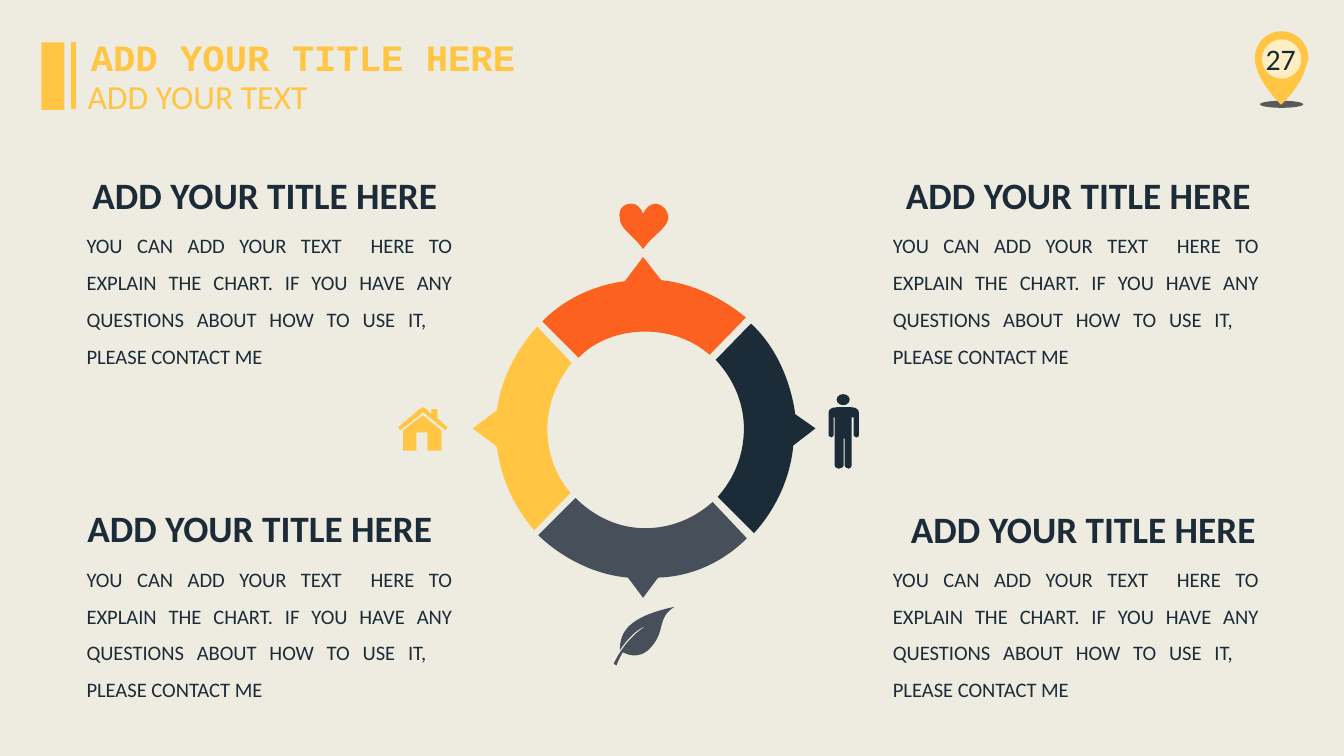
from pptx import Presentation
from pptx.dml.color import RGBColor
from pptx.enum.shapes import MSO_CONNECTOR as LINE, MSO_SHAPE as SHAPE
from pptx.enum.text import MSO_ANCHOR as ANCHOR, MSO_AUTO_SIZE as AUTO, PP_ALIGN as ALIGN
from pptx.oxml.ns import qn
from pptx.util import Inches, Pt
from lxml.etree import SubElement as sub

GOLD, NAVY, SLATE, FLAME = "FFC543", "1C2B38", "464F5A", "FC611F"
CREAM, SHADE, WHITE, INK = "EEECE1", "595959", "FFFFFF", "152C34"
SANS, MONO = "Calibri", "Courier New"

HEAD = "ADD YOUR TITLE HERE"
BODY = ("YOU CAN ADD YOUR TEXT  HERE TO EXPLAIN THE CHART. IF YOU HAVE ANY "
        "QUESTIONS ABOUT HOW TO USE IT,   PLEASE CONTACT ME")

# Left and top of each heading, then of the text below it
BLOCKS = [
    ((0.8, 1.66), (0.76, 2.14)),
    ((8.87, 1.66), (8.76, 2.14)),
    ((0.75, 4.96), (0.76, 5.45)),
    ((8.92, 4.97), (8.76, 5.45)),
]

# An outline holds points (x, y) and curves (x1, y1, x2, y2, x, y)
PIN = [(12.98, 0.59), (12.98, 0.57), (12.98, 0.43, 12.86, 0.31, 12.71, 0.31),
       (12.57, 0.31, 12.45, 0.43, 12.45, 0.57), (12.45, 0.6),
       (12.47, 0.81, 12.71, 1.04, 12.71, 1.04),
       (12.88, 0.88, 12.94, 0.73, 12.96, 0.65),
       (12.97, 0.63, 12.97, 0.61, 12.98, 0.59)]
RING = {
    GOLD: [(4.93, 4.07), (4.69, 4.25), (4.93, 4.43),
           (4.97, 4.75, 5.1, 5.03, 5.3, 5.26), (5.66, 4.89),
           (5.51, 4.71, 5.43, 4.5, 5.43, 4.25),
           (5.43, 4.01, 5.53, 3.78, 5.67, 3.6), (5.33, 3.24),
           (5.12, 3.47, 4.97, 3.76, 4.93, 4.07)],
    SLATE: [(5.71, 4.94), (5.34, 5.31), (5.57, 5.53, 5.89, 5.7, 6.23, 5.73),
            (6.38, 5.93), (6.53, 5.73), (6.87, 5.72, 7.18, 5.57, 7.41, 5.34),
            (7.07, 4.98), (6.89, 5.14, 6.66, 5.24, 6.4, 5.24),
            (6.13, 5.24, 5.89, 5.12, 5.71, 4.94)],
    FLAME: [(6.38, 2.55), (6.2, 2.79), (5.89, 2.83, 5.59, 2.97, 5.38, 3.19),
            (5.74, 3.55), (5.9, 3.38, 6.15, 3.29, 6.4, 3.29),
            (6.64, 3.29, 6.87, 3.37, 7.04, 3.52), (7.4, 3.15),
            (7.17, 2.96, 6.87, 2.81, 6.56, 2.78)],
    NAVY: [(7.89, 4.11), (7.84, 3.76, 7.69, 3.43, 7.45, 3.21), (7.1, 3.57),
           (7.27, 3.75, 7.38, 3.99, 7.38, 4.25),
           (7.38, 4.52, 7.28, 4.75, 7.12, 4.93), (7.48, 5.29),
           (7.69, 5.06, 7.84, 4.75, 7.87, 4.42), (8.09, 4.25)],
}
WALLS = [(4.2, 4.12), (4.1, 4.19), (4, 4.27), (4, 4.47), (4.13, 4.47),
         (4.13, 4.29), (4.24, 4.29), (4.24, 4.47), (4.38, 4.47),
         (4.38, 4.27), (4.28, 4.19)]
ROOF = [(4.34, 4.15), (4.34, 4.06), (4.28, 4.06), (4.28, 4.11), (4.23, 4.06),
        (4.2, 4.04), (4.16, 4.06), (3.95, 4.24), (3.97, 4.27), (4.2, 4.09),
        (4.42, 4.27), (4.44, 4.24)]
MAN = [(8.45, 4.04), (8.3, 4.04), (8.24, 4.04, 8.22, 4.07, 8.22, 4.09),
       (8.22, 4.32), (8.22, 4.32, 8.24, 4.34, 8.25, 4.34),
       (8.25, 4.34, 8.27, 4.32, 8.27, 4.32),
       (8.27, 4.14), (8.28, 4.14), (8.28, 4.62),
       (8.28, 4.63, 8.3, 4.65, 8.32, 4.65),
       (8.35, 4.65, 8.37, 4.63, 8.37, 4.62), (8.37, 4.35), (8.38, 4.35),
       (8.38, 4.62), (8.38, 4.63, 8.4, 4.65, 8.42, 4.65),
       (8.43, 4.65, 8.45, 4.63, 8.45, 4.62), (8.45, 4.14), (8.47, 4.14),
       (8.47, 4.32), (8.47, 4.32, 8.48, 4.34, 8.5, 4.34),
       (8.52, 4.34, 8.52, 4.32, 8.52, 4.32),
       (8.52, 4.09), (8.52, 4.07, 8.5, 4.04, 8.45, 4.04)]
LEAF = [(6.09, 6.58), (6.09, 6.58, 6.09, 6.6, 6.12, 6.6),
        (6.12, 6.57, 6.18, 6.47, 6.18, 6.47),
        (6.18, 6.47, 6.33, 6.57, 6.46, 6.42),
        (6.61, 6.25, 6.51, 6.14, 6.69, 6.02),
        (6.23, 6.12, 6.15, 6.27, 6.15, 6.45),
        (6.2, 6.37, 6.31, 6.24, 6.41, 6.21),
        (6.23, 6.32, 6.13, 6.5, 6.09, 6.58)]
HEART = [(6.38, 2.12), (6.36, 2.06, 6.31, 2.02, 6.27, 2.02),
         (6.17, 2.02, 6.13, 2.09, 6.15, 2.17),
         (6.15, 2.27, 6.28, 2.33, 6.38, 2.47),
         (6.48, 2.33, 6.61, 2.27, 6.63, 2.17),
         (6.63, 2.09, 6.59, 2.04, 6.51, 2.02),
         (6.45, 2.02, 6.41, 2.06, 6.38, 2.12)]
ICONS = [(WALLS, GOLD), (ROOF, GOLD), (MAN, NAVY), (LEAF, SLATE), (HEART, FLAME)]

deck = Presentation()
deck.slide_width, deck.slide_height = Inches(40 / 3), Inches(7.5)
slide = deck.slides.add_slide(deck.slide_layouts[6])
shapes = slide.shapes


def paint(item, color):
    """Give a fill or a font color its hex color."""
    if hasattr(item, "solid"):
        item.solid()
        item = item.fore_color
    item.rgb = RGBColor.from_string(color)


def plain(shape, color):
    """Fill a shape and drop its line and shadow."""
    paint(shape.fill, color)
    shape.line.fill.background()
    shape.shadow.inherit = False
    return shape


def preset(kind, x, y, w, h, color):
    """Add a filled preset shape."""
    return plain(shapes.add_shape(kind, *map(Inches, (x, y, w, h))), color)


def outline(parts, color):
    """Add a closed, filled outline, with its curves as Bezier curves."""
    dots = [tuple(map(Inches, part[-2:])) for part in parts]
    pen = shapes.build_freeform(*dots[0])
    pen.add_line_segments(dots[1:], close=True)
    shape = plain(pen.convert_to_shape(), color)
    sides = list(shape._element.iter(qn("a:lnTo")))
    for part, side in zip(parts[1:], sides):
        if len(part) == 6:
            side.tag = qn("a:cubicBezTo")
            for n in (2, 0):
                spot = side.makeelement(qn("a:pt"), {
                    "x": str(Inches(part[n]) - shape.left),
                    "y": str(Inches(part[n + 1]) - shape.top)})
                side.insert(0, spot)


def label(text, x, y, w, h, size, color, font=SANS, bold=False,
          align=ALIGN.CENTER, wrap=False, gap=None):
    """Add a text box of one paragraph."""
    box = shapes.add_textbox(*map(Inches, (x, y, w, h)))
    frame = box.text_frame
    frame.text = text
    frame.word_wrap = wrap
    frame.auto_size = AUTO.SHAPE_TO_FIT_TEXT
    para = frame.paragraphs[0]
    para.alignment, para.line_spacing = align, gap
    face = para.runs[0].font
    face.name, face.size, face.bold = font, Pt(size), bold
    paint(face.color, color)
    return box


paint(slide.background.fill, CREAM)

# Page marker
preset(SHAPE.OVAL, 12.5, 1, 0.43, 0.07, SHADE)
outline(PIN, GOLD)
disc = preset(SHAPE.OVAL, 12.52, 0.39, 0.39, 0.39, WHITE)
tint = disc._element.spPr.find(qn("a:solidFill"))[0]
sub(tint, qn("a:alpha"), val="69000")
page = label("27", 11.15, 0.38, 3.11, 0.4, 21.33, INK, wrap=True).text_frame
page.auto_size, page.vertical_anchor = AUTO.NONE, ANCHOR.MIDDLE

# Ring and icons
for color, parts in RING.items():
    outline(parts, color)
for parts, color in ICONS:
    outline(parts, color)
preset(SHAPE.OVAL, 8.3, 3.91, 0.13, 0.11, NAVY)

# Four text blocks
for head, body in BLOCKS:
    label(BODY, *body, 3.82, 1.58, 14.67, NAVY, align=ALIGN.JUSTIFY, wrap=True, gap=1.5)
    label(HEAD, *head, 3.66, 0.55, 26.67, NAVY, bold=True)

# Slide title
preset(SHAPE.RECTANGLE, 0.41, 0.42, 0.23, 0.67, GOLD)
ends = map(Inches, (0.73, 0.42, 0.73, 1.08))
rule = shapes.add_connector(LINE.STRAIGHT, *ends)
paint(rule.line.fill, GOLD)
rule.line.width = Pt(3)
sub(rule._element.spPr, qn("a:effectLst"))
label(HEAD, 0.79, 0.29, 4.44, 0.55, 26.67, GOLD, MONO, True)
label("ADD YOUR TEXT", 0.77, 0.7, 2.41, 0.5, 24, GOLD, align=ALIGN.LEFT)

deck.save("out.pptx")
